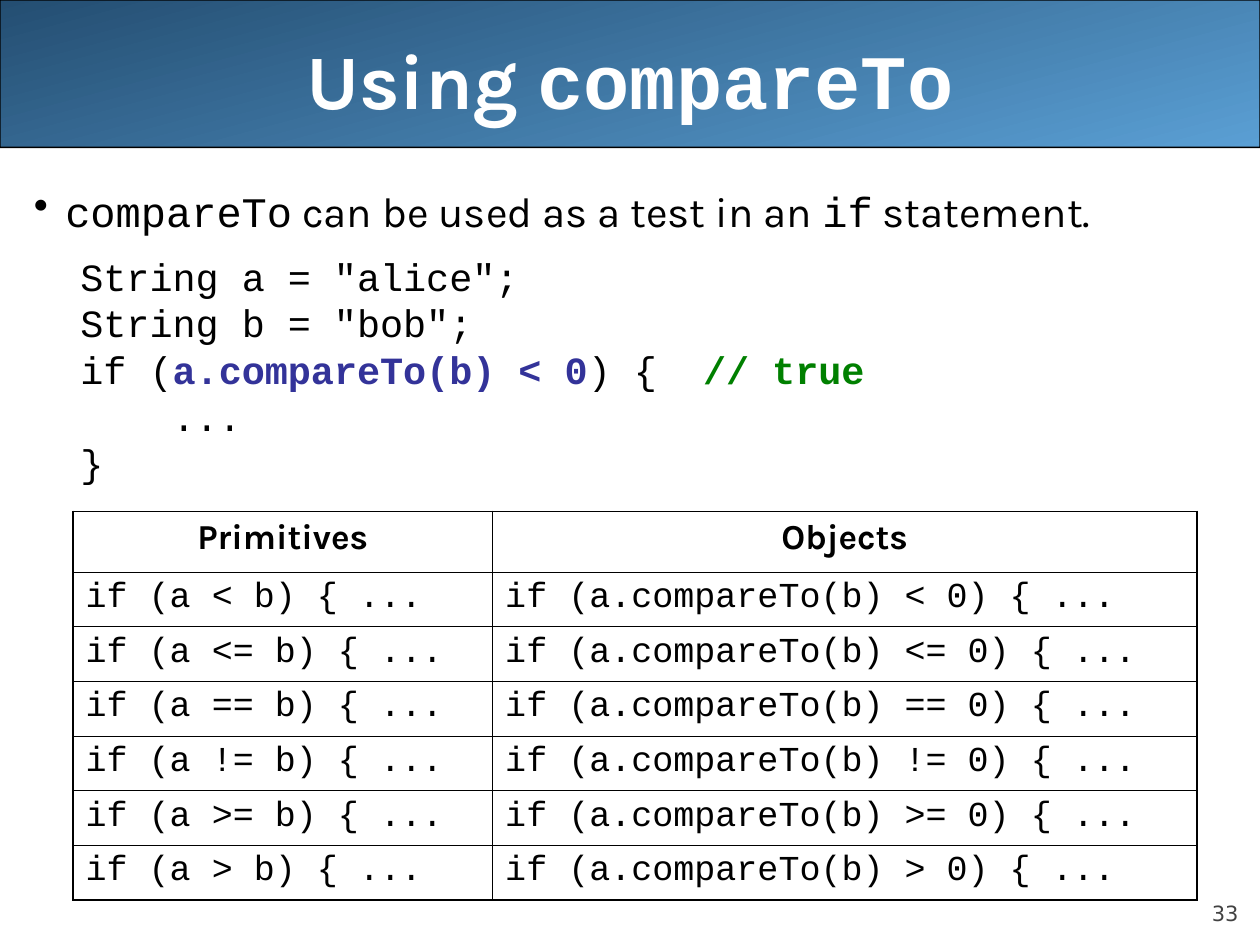
import lxml.etree
import pptx
import pptx.dml.color
import pptx.enum.shapes
import pptx.enum.text
import pptx.oxml.ns
import pptx.util

Inches = pptx.util.Inches
Pt = pptx.util.Pt
Align = pptx.enum.text.PP_ALIGN
Anchor = pptx.enum.text.MSO_ANCHOR

BLACK = "000000"
SANS = {"name": "Karla"}
MONO = {"name": "Courier New"}
TITLE = {"size": Pt(44), "bold": True, "color": "FFFFFF"}
LEAD = {"size": Pt(24), "color": BLACK}
CODE = {**MONO, "size": Pt(22), "color": BLACK}
TEST = {**CODE, "bold": True, "color": "333399"}
COMMENT = {**CODE, "bold": True, "color": "008000"}
HEADER = {**SANS, "size": Pt(20), "bold": True, "color": BLACK}
CELL = {**MONO, "size": Pt(20), "color": BLACK}
NUMBER = {"name": "DejaVu Sans", "size": Pt(12), "color": "424242"}

OPERATORS = ["<", "<=", "==", "!=", ">=", ">"]
CODE_LINES = [
    [('String a = "alice";', CODE)],
    [('String b = "bob";', CODE)],
    [("if (", CODE), ("a.compareTo(b) < 0", TEST), (") {  ", CODE), ("// true", COMMENT)],
    [("...", CODE)],
    [("}", CODE)],
]


def rgb(value):
    """Return the colour for a hex string."""
    return pptx.dml.color.RGBColor.from_string(value)


def apply(target, formats):
    """Set each named attribute of the target."""
    for name, value in formats.items():
        setattr(target, name, value)


def add_node(parent, tag, **attributes):
    """Append a drawing element to an XML parent."""
    return lxml.etree.SubElement(parent, pptx.oxml.ns.qn(tag), attributes)


def write(para, spans, **formats):
    """Fill a paragraph with formatted spans of text."""
    apply(para, formats)
    for text, style in spans:
        span = para.add_run()
        span.text = text
        font = {key: value for key, value in style.items() if key != "color"}
        apply(span.font, font)
        span.font.color.rgb = rgb(style["color"])


def indent(para, left, first):
    """Set the left margin and first-line indent of a paragraph."""
    properties = para._p.get_or_add_pPr()
    properties.set("marL", str(left))
    properties.set("indent", str(first))
    return properties


def add_frame(page, box, **formats):
    """Add a wrapping text box and return its text frame."""
    frame = page.shapes.add_textbox(*box).text_frame
    apply(frame, {"word_wrap": True, **formats})
    return frame


def add_title(page, box):
    """Draw the gradient band with the title centred on it."""
    left, top, width, height = box
    band = page.shapes.add_shape(pptx.enum.shapes.MSO_SHAPE.ROUNDED_RECTANGLE, *box)
    band.adjustments[0] = 0.001
    band.shadow.inherit = False
    band.fill.gradient()
    band.fill.gradient_angle = 285
    for stop, color in zip(band.fill.gradient_stops, ["244E72", "5A9FD4"]):
        stop.color.rgb = rgb(color)
    band.line.color.rgb = rgb(BLACK)
    band.line.width = Pt(0.75)
    margin = Inches(0.5)
    title_box = (left + margin, top, width - 2 * margin, height + Inches(0.08))
    frame = add_frame(page, title_box, vertical_anchor=Anchor.MIDDLE)
    spans = [("Using ", {**TITLE, **SANS}), ("compareTo", {**TITLE, **MONO})]
    write(frame.paragraphs[0], spans, alignment=Align.CENTER)


def add_body(page, box):
    """Write the bullet and the code sample below it."""
    frame = add_frame(page, box)
    sans, mono = {**LEAD, **SANS}, {**LEAD, **MONO}
    para = frame.paragraphs[0]
    spans = [
        ("compareTo", mono),
        (" can be used as a test in an ", sans),
        ("if", mono),
        (" statement.", sans),
    ]
    write(para, spans, space_before=Pt(6))
    properties = indent(para, Inches(0.25), Inches(-0.25))
    add_node(add_node(properties, "a:buClr"), "a:srgbClr", val=BLACK)
    add_node(properties, "a:buChar", char="•")
    for index, spans in enumerate(CODE_LINES):
        para = frame.add_paragraph()
        space = Pt(5.5 if index else 15)
        write(para, spans, line_spacing=0.8, space_before=space)
        nested = Inches(0.73 if spans[0][0] == "..." else 0)
        indent(para, Inches(0.68) + nested, Inches(-0.31))


def add_borders(cell, outer):
    """Rule a cell, with heavier lines on the outer sides."""
    properties = cell._tc.get_or_add_tcPr()
    for side in "LRTB":
        width = Pt(1.08 if side in outer else 0.45)
        line = add_node(properties, f"a:ln{side}", w=str(width))
        add_node(add_node(line, "a:solidFill"), "a:srgbClr", val=BLACK)


def add_comparison(page, box):
    """Build the table of primitive and object comparisons."""
    rows = [("Primitives", "Objects")]
    rows += [(f"if (a {sign} b) {{ ...", f"if (a.compareTo(b) {sign} 0) {{ ...") for sign in OPERATORS]
    table = page.shapes.add_table(len(rows), 2, *box).table
    apply(table, {"first_row": False, "horz_banding": False})
    table.columns[0].width = Inches(3.33)
    table.columns[1].width = box[2] - Inches(3.33)
    header_height = Inches(0.48)
    for row, texts in enumerate(rows):
        body_height = (box[3] - header_height) // len(OPERATORS)
        table.rows[row].height = body_height if row else header_height
        for column, text in enumerate(texts):
            cell = table.cell(row, column)
            outer = "LR"[column] + ("T" if row == 0 else "B" if row == len(OPERATORS) else "")
            add_borders(cell, outer)
            cell.fill.background()
            style, alignment = (CELL, Align.LEFT) if row else (HEADER, Align.CENTER)
            write(cell.text_frame.paragraphs[0], [(text, style)], alignment=alignment, space_before=Pt(5))


def add_number(page, box):
    """Write the page number at the lower right."""
    margins = {f"margin_{side}": 0 for side in ["left", "top", "right", "bottom"]}
    frame = add_frame(page, box, vertical_anchor=Anchor.BOTTOM, **margins)
    write(frame.paragraphs[0], [("33", NUMBER)], alignment=Align.RIGHT, space_before=Pt(5))


def main():
    """Build the deck and save it."""
    deck = pptx.Presentation()
    apply(deck, {"slide_width": Inches(10), "slide_height": Inches(7.5)})
    page = deck.slides.add_slide(deck.slide_layouts[6])
    regions = [
        (add_title, (0, 0, 10, 1.17)),
        (add_number, (9, 6.95, 0.83, 0.4)),
        (add_body, (0.17, 1.42, 9.83, 5.67)),
        (add_comparison, (0.58, 4.06, 8.92, 3.03)),
    ]
    for add_region, lengths in regions:
        add_region(page, tuple(Inches(length) for length in lengths))
    deck.save("out.pptx")


if __name__ == "__main__":
    main()
